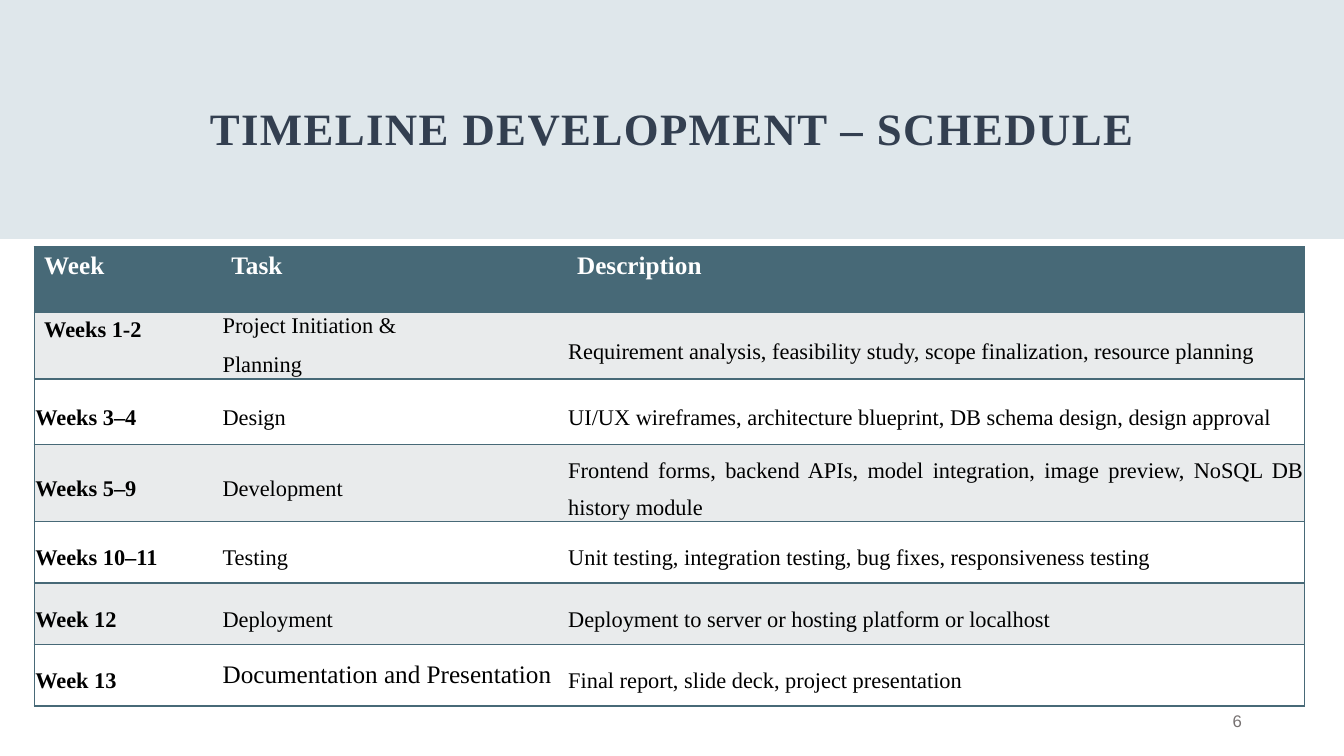
import dataclasses

import lxml.etree
import pptx
import pptx.dml.color
import pptx.enum.shapes
import pptx.enum.text
import pptx.oxml.ns
import pptx.util

Cm = pptx.util.Cm
Pt = pptx.util.Pt
Align = pptx.enum.text.PP_ALIGN
Anchor = pptx.enum.text.MSO_ANCHOR


@dataclasses.dataclass(frozen=True)
class Theme:
    serif: str = "Times New Roman"
    sans: str = "Arial"
    band: str = "D7E2E7"
    title: str = "333F50"
    accent: str = "476977"
    stripe: str = "E9EBEC"
    white: str = "FFFFFF"
    black: str = "000000"
    grey: str = "767171"
    title_size: int = 32
    large_size: int = 18
    body_size: int = 16
    number_size: int = 12


THEME = Theme()
COLUMN_WIDTHS = (4.72, 8.71, 18.59)
ROW_HEIGHTS = (1.66, 1.65, 1.65, 1.65, 1.55, 1.55, 1.55)
SCHEDULE = (
    ("Week", "Task", "Description"),
    ("Weeks 1-2", "Project Initiation &\nPlanning",
     "Requirement analysis, feasibility study, scope finalization, resource planning"),
    ("Weeks 3–4", "Design",
     "UI/UX wireframes, architecture blueprint, DB schema design, design approval"),
    ("Weeks 5–9", "Development",
     "Frontend forms, backend APIs, model integration, image preview, NoSQL DB history module"),
    ("Weeks 10–11", "Testing",
     "Unit testing, integration testing, bug fixes, responsiveness testing"),
    ("Week 12", "Deployment", "Deployment to server or hosting platform or localhost"),
    ("Week 13", "Documentation and Presentation",
     "Final report, slide deck, project presentation"),
)


def apply(target, values):
    for name, value in values.items():
        setattr(target, name, value)


def add_child(parent, tag, **attributes):
    return lxml.etree.SubElement(parent, pptx.oxml.ns.qn(tag), attributes)


def write_text(frame, text, size, color, font_name=THEME.serif, bold=False,
               tracking=None, **paragraph_format):
    frame.text = text
    for paragraph in frame.paragraphs:
        apply(paragraph, paragraph_format)
        for run in paragraph.runs:
            apply(run.font, {"name": font_name, "size": Pt(size), "bold": bold})
            run.font.color.rgb = pptx.dml.color.RGBColor.from_string(color)
            if tracking:
                run.font._element.set("spc", str(tracking))


def add_title(slide, text):
    title = slide.shapes.title
    apply(title, {"left": Cm(2.33), "top": Cm(0.63), "width": Cm(29.21), "height": Cm(3.41)})
    apply(title.text_frame, {"vertical_anchor": Anchor.BOTTOM, "word_wrap": True})
    write_text(title.text_frame, text, THEME.title_size, THEME.title, bold=True,
               tracking=100, alignment=Align.CENTER, line_spacing=0.9)
    return title


def add_band(slide, width, title):
    band = slide.shapes.add_shape(
        pptx.enum.shapes.MSO_SHAPE.RECTANGLE, 0, 0, width, Cm(6.02))
    band.shadow.inherit = False
    band.fill.solid()
    band.fill.fore_color.rgb = pptx.dml.color.RGBColor.from_string(THEME.band)
    band.line.fill.background()
    color = band._element.spPr.find(".//" + pptx.oxml.ns.qn("a:srgbClr"))
    add_child(color, "a:alpha", val="80000")
    title._element.addprevious(band._element)


def set_borders(cell, visible_sides):
    properties = cell._tc.get_or_add_tcPr()
    for side in "LRTB":
        line = add_child(properties, f"a:ln{side}", w=str(Pt(1)))
        if side in visible_sides:
            add_child(add_child(line, "a:solidFill"), "a:srgbClr", val=THEME.accent)
        else:
            add_child(line, "a:noFill")


def fill_cell(cell, text, row, column):
    is_header = row == 0
    is_first_week = row == 1 and column == 0
    is_multiline = "\n" in text
    is_last_task = row == len(SCHEDULE) - 1 and column == 1
    set_borders(cell, ("LTB", "TB", "TBR")[column])
    cell.fill.solid()
    fill = THEME.accent if is_header else (THEME.white, THEME.stripe)[row % 2]
    cell.fill.fore_color.rgb = pptx.dml.color.RGBColor.from_string(fill)
    paragraph_format = {}
    if not (is_header or is_first_week):
        margins = ("margin_left", "margin_right", "margin_top", "margin_bottom")
        apply(cell, dict.fromkeys(margins, Cm(0.03)))
        cell.vertical_anchor = Anchor.MIDDLE
        paragraph_format["space_after"] = Pt(10)
        if not is_last_task:
            paragraph_format["alignment"] = Align.JUSTIFY
            if not is_multiline:
                paragraph_format["line_spacing"] = 1.5
    write_text(cell.text_frame, text,
               THEME.large_size if is_header or is_last_task else THEME.body_size,
               THEME.white if is_header else THEME.black,
               bold=is_header or column == 0, **paragraph_format)


def add_schedule(slide):
    table = slide.shapes.add_table(
        len(SCHEDULE), len(COLUMN_WIDTHS), Cm(0.86), Cm(6.22),
        Cm(sum(COLUMN_WIDTHS)), Cm(sum(ROW_HEIGHTS))).table
    table.horz_banding = False
    for column, width in zip(table.columns, COLUMN_WIDTHS):
        column.width = Cm(width)
    for row, height in zip(table.rows, ROW_HEIGHTS):
        row.height = Cm(height)
    for row, texts in enumerate(SCHEDULE):
        for column, text in enumerate(texts):
            fill_cell(table.cell(row, column), text, row, column)


def add_page_number(slide, number):
    box = slide.shapes.add_textbox(Cm(23.93), Cm(17.65), Cm(7.62), Cm(1.02))
    apply(box.text_frame, {"word_wrap": True, "vertical_anchor": Anchor.MIDDLE})
    write_text(box.text_frame, number, THEME.number_size, THEME.grey,
               font_name=THEME.sans, tracking=100, alignment=Align.RIGHT)


def main():
    presentation = pptx.Presentation()
    apply(presentation, {"slide_width": Cm(33.87), "slide_height": Cm(19.05)})
    slide = presentation.slides.add_slide(presentation.slide_layouts[5])
    title = add_title(slide, "TIMELINE DEVELOPMENT – SCHEDULE")
    add_band(slide, presentation.slide_width, title)
    add_schedule(slide)
    add_page_number(slide, "6")
    presentation.save("out.pptx")


if __name__ == "__main__":
    main()
